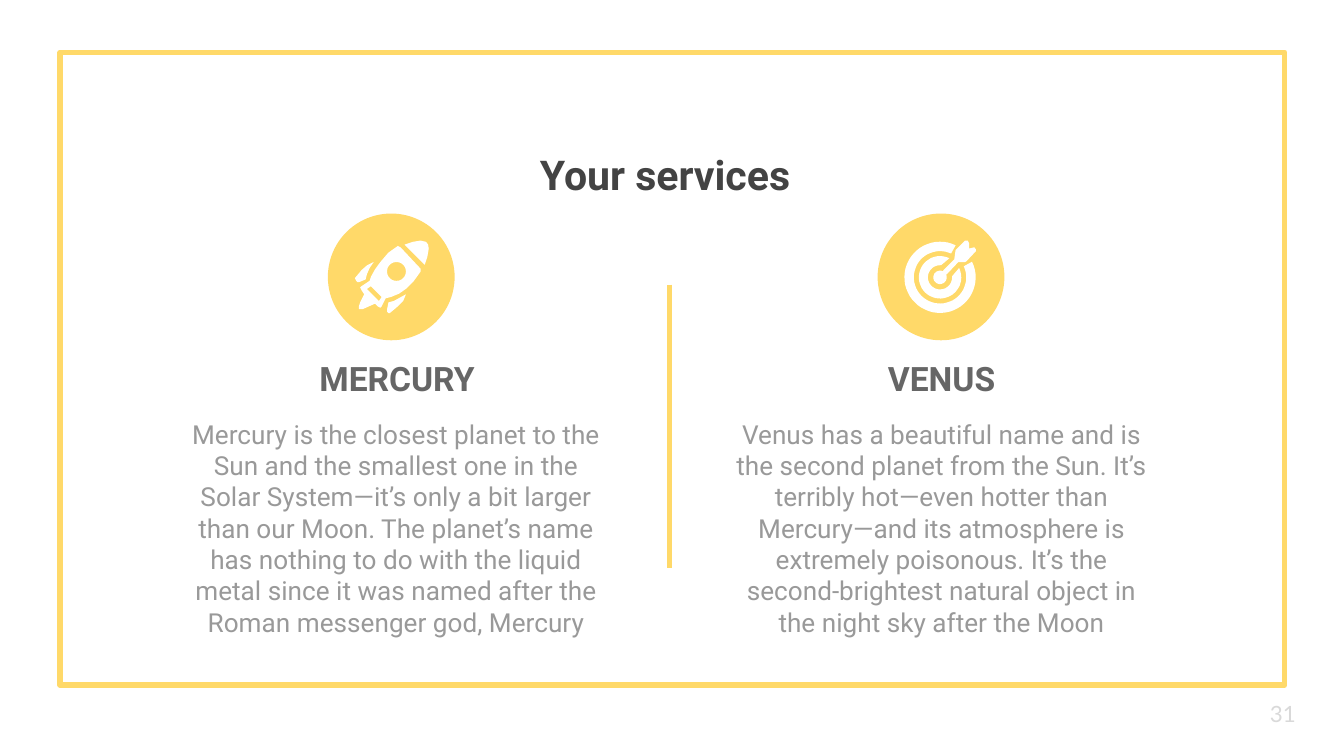
import math
from dataclasses import dataclass

import pptx
import pptx.dml.color
import pptx.enum.shapes
import pptx.enum.text
import pptx.oxml
import pptx.util
from pptx.util import Cm, Pt

RGBColor = pptx.dml.color.RGBColor
Anchor = pptx.enum.text.MSO_ANCHOR
Align = pptx.enum.text.PP_ALIGN
Shapes = pptx.enum.shapes.MSO_SHAPE

YELLOW = RGBColor(0xFF, 0xD9, 0x69)
WHITE = RGBColor(0xFF, 0xFF, 0xFF)
DARK = RGBColor(0x43, 0x43, 0x43)
MEDIUM = RGBColor(0x66, 0x66, 0x66)
GREY = RGBColor(0x99, 0x99, 0x99)
PALE = RGBColor(0xD9, 0xD9, 0xD9)

Point = tuple[float, float]
Contour = list[Point]
Outline = list[Contour]  # first contour is the edge, the others are holes


@dataclass
class TextStyle:
    size: float
    color: RGBColor
    bold: bool = False
    font: str = "Roboto"
    align: Align = Align.CENTER
    anchor: Anchor = Anchor.TOP


@dataclass
class Service:
    heading: str
    description: str
    icon: list[Outline]
    circle_left: float
    heading_left: float
    description_left: float
    heading_index: int
    description_index: int


TITLE = TextStyle(22, DARK, bold=True)
HEADING = TextStyle(18, MEDIUM, bold=True, anchor=Anchor.BOTTOM)
DESCRIPTION = TextStyle(14, GREY)
PAGE_NUMBER = TextStyle(12, PALE, font="Lato", align=Align.LEFT, anchor=Anchor.MIDDLE)


def arc(center: Point, radius: float, start: float, end: float) -> Contour:
    """Points along an arc, with angles in degrees, clockwise from the right."""
    steps = 48
    angles = [math.radians(start + (end - start) * i / steps) for i in range(steps + 1)]
    return [(center[0] + radius * math.cos(a), center[1] + radius * math.sin(a)) for a in angles]


def open_ring(outer: float, inner: float, outer_gap: float, inner_gap: float) -> Outline:
    """Ring open towards the upper right; gaps are half angles."""
    return [arc(BULLSEYE, outer, outer_gap - 45, 315 - outer_gap)
            + arc(BULLSEYE, inner, 315 - inner_gap, inner_gap - 45)]


# Icons, in hundredths of an inch from the corner of their circle
BULLSEYE = (44.4, 45.4)
ARROW = [(47, 40), (55, 32), (56, 25), (63, 18), (65, 18), (66, 20), (66, 24),
         (70, 23), (71, 24.5), (71, 26), (64, 33.5), (63, 34), (58, 34), (49.5, 43)]
TARGET_ICON = [
    [ARROW + arc(BULLSEYE, 5, -25, 295)],
    open_ring(15.8, 9, 19, 40),
    open_ring(26.5, 19.5, 19, 20),
]
ROCKET_ICON = [
    [  # body, with slot and porthole
        [(50, 22), (43, 27), (37, 34), (33, 39.5), (30, 45), (29, 48), (23, 52),
         (22, 53), (23, 55), (25, 58), (22, 64), (21, 67), (21, 69), (24, 69),
         (33, 65), (35, 67), (37, 68), (38, 67), (41, 61), (45, 60), (51, 57.5),
         (56, 54), (62, 48), (67, 41), (67, 39), (52, 23)],
        [(30, 52), (38, 60), (36, 63), (27, 54)],
        arc((49, 41), 7, 0, 360),
    ],
    [[(67, 18), (61, 19), (55, 21), (70, 36), (72, 30), (73, 24), (72.5, 21), (71, 19)]],
    [[(56, 58), (47, 63), (43, 64), (42, 69), (42, 71), (43, 72), (44, 72), (50, 67), (54, 63)]],
    [[(32, 34), (27, 36.5), (23, 40), (18, 46), (19, 48), (20, 49), (21, 49), (26, 47),
      (27, 43), (29, 38.5)]],
]

SERVICES = [
    Service("MERCURY",
            "Mercury is the closest planet to the Sun and the smallest one in the "
            "Solar System—it’s only a bit larger than our Moon. The planet’s name has "
            "nothing to do with the liquid metal since it was named after the Roman "
            "messenger god, Mercury",
            ROCKET_ICON, 6.25, 3.1, 3.18, 1, 2),
    Service("VENUS",
            "Venus has a beautiful name and is the second planet from the Sun. It’s "
            "terribly hot—even hotter than Mercury—and its atmosphere is extremely "
            "poisonous. It’s the second-brightest natural object in the night sky "
            "after the Moon",
            TARGET_ICON, 16.64, 13.39, 13.49, 3, 4),
]


def place(shape, left: float, top: float, width: float, height: float) -> None:
    shape.left, shape.top, shape.width, shape.height = map(Cm, (left, top, width, height))


def set_text(shape, text: str, style: TextStyle) -> None:
    frame = shape.text_frame
    frame.text = text
    frame.word_wrap = True
    frame.auto_size = pptx.enum.text.MSO_AUTO_SIZE.NONE
    frame.vertical_anchor = style.anchor
    frame.margin_left = frame.margin_right = Cm(0.25)
    frame.margin_top = frame.margin_bottom = Cm(0.25)
    paragraph = frame.paragraphs[0]
    paragraph.alignment = style.align
    paragraph.space_before = Pt(0)
    # No bullet and no hanging indent
    properties = paragraph._p.get_or_add_pPr()
    properties.set("marL", "0")
    properties.set("indent", "0")
    properties.append(pptx.oxml.parse_xml(
        '<a:buNone xmlns:a="http://schemas.openxmlformats.org/drawingml/2006/main"/>'))
    font = paragraph.runs[0].font
    font.name, font.size, font.bold = style.font, Pt(style.size), style.bold
    font.color.rgb = style.color


def draw_outline(shapes, outline: Outline, left: float, top: float) -> None:
    contours = [[(x * 10, y * 10) for x, y in contour] for contour in outline]
    builder = shapes.build_freeform(*contours[0][0], scale=Cm(0.00254))
    builder.add_line_segments(contours[0][1:])
    for hole in contours[1:]:
        builder.move_to(*hole[0])
        builder.add_line_segments(hole[1:])
    shape = builder.convert_to_shape(Cm(left), Cm(top))
    shape.shadow.inherit = False
    shape.fill.solid()
    shape.fill.fore_color.rgb = WHITE
    shape.line.fill.background()


def set_yellow_line(shape) -> None:
    shape.line.color.rgb = YELLOW
    shape.line.width = Pt(3)


def draw_service(slide, service: Service) -> None:
    top, size = 4.09, 2.29
    shapes = slide.shapes.add_group_shape().shapes
    circle = shapes.add_shape(Shapes.OVAL, Cm(service.circle_left), Cm(top), Cm(size), Cm(size))
    circle.shadow.inherit = False
    circle.fill.solid()
    circle.fill.fore_color.rgb = YELLOW
    set_yellow_line(circle)
    for outline in service.icon:
        draw_outline(shapes, outline, service.circle_left, top)

    heading = slide.placeholders[service.heading_index]
    place(heading, service.heading_left, 5.97, 8.81, 1.8)
    set_text(heading, service.heading, HEADING)
    description = slide.placeholders[service.description_index]
    place(description, service.description_left, 7.65, 8.61, 3.1)
    set_text(description, service.description, DESCRIPTION)


def main() -> None:
    presentation = pptx.Presentation()
    presentation.slide_width, presentation.slide_height = Cm(25.4), Cm(14.29)
    slide = presentation.slides.add_slide(presentation.slide_layouts.get_by_name("Comparison"))

    # Frame and divider
    frame = slide.shapes.add_shape(Shapes.RECTANGLE, Cm(1.14), Cm(0.99), Cm(23.14), Cm(11.96))
    frame.shadow.inherit = False
    frame.fill.background()
    set_yellow_line(frame)
    divider = slide.shapes.add_connector(
        pptx.enum.shapes.MSO_CONNECTOR.STRAIGHT, Cm(12.65), Cm(5.38), Cm(12.65), Cm(10.74))
    set_yellow_line(divider)
    divider._element.spPr.append(pptx.oxml.parse_xml(
        '<a:effectLst xmlns:a="http://schemas.openxmlformats.org/drawingml/2006/main"/>'))

    # Title and the two services
    title = slide.shapes.title
    place(title, -0.13, 2.57, 25.4, 1.35)
    set_text(title, "Your services", TITLE)
    for service in SERVICES:
        draw_service(slide, service)

    # Page number
    number = slide.shapes.add_textbox(Cm(23.75), Cm(12.95), Cm(1.52), Cm(1.09))
    set_text(number, "31", PAGE_NUMBER)

    presentation.save("out.pptx")


if __name__ == "__main__":
    main()
